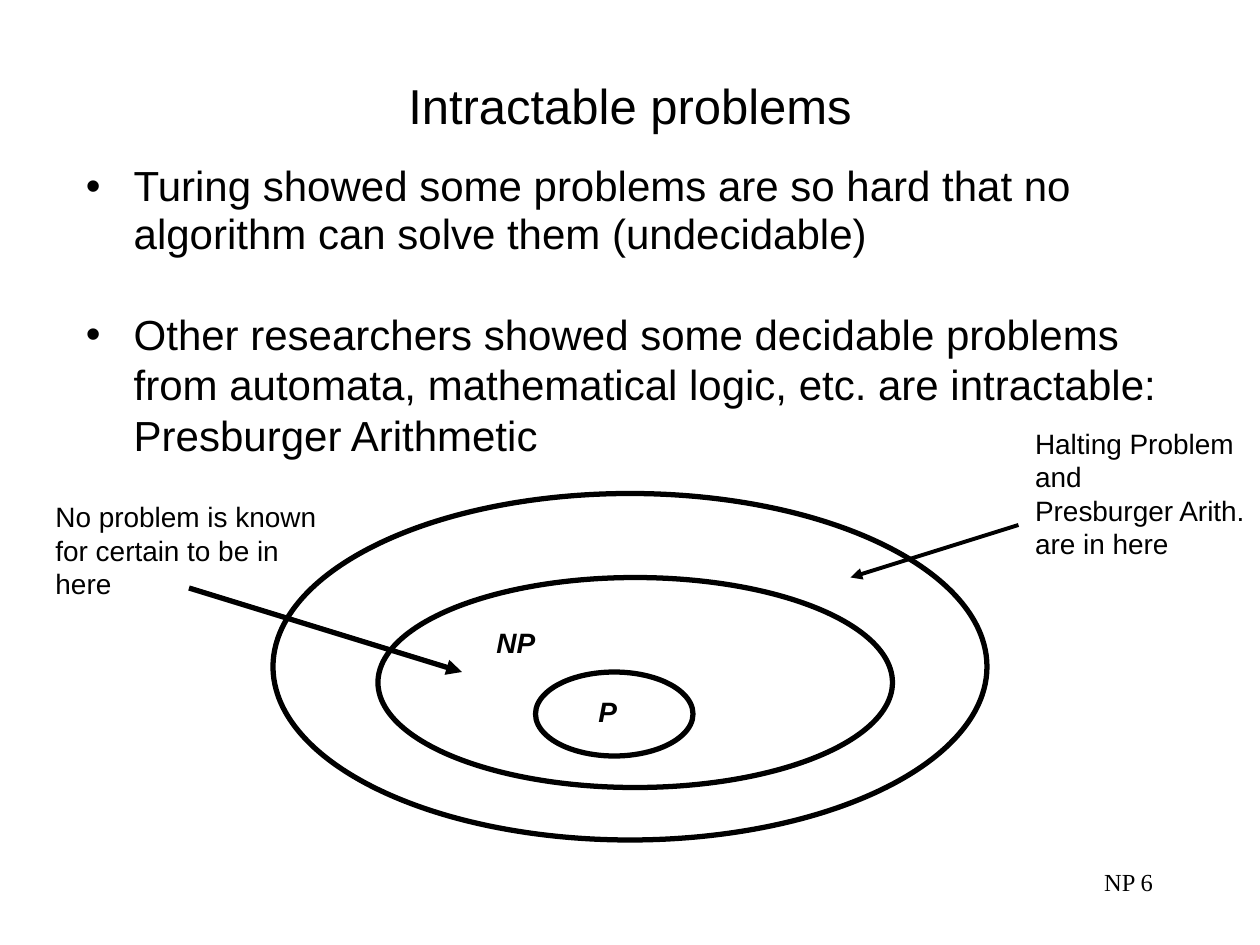
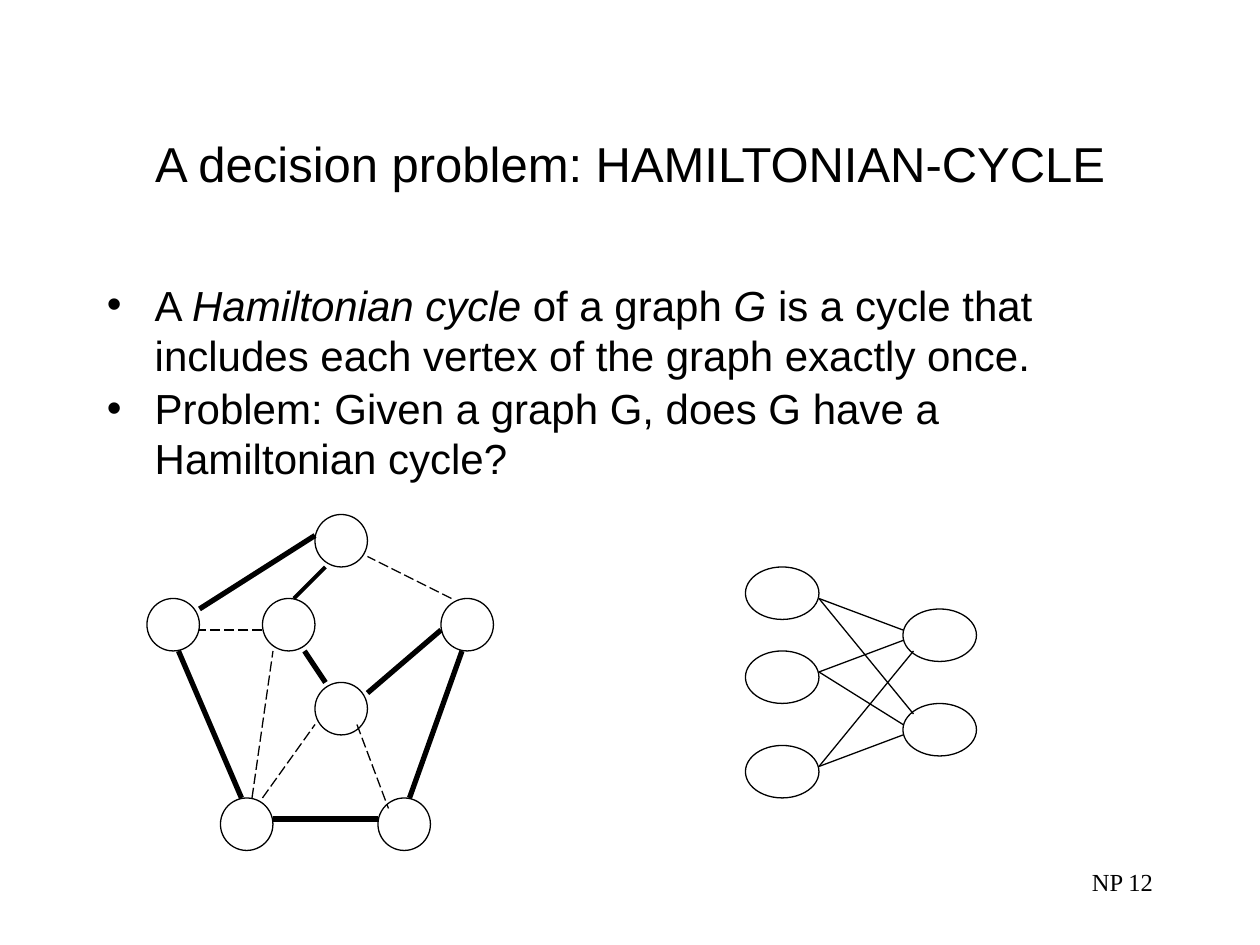
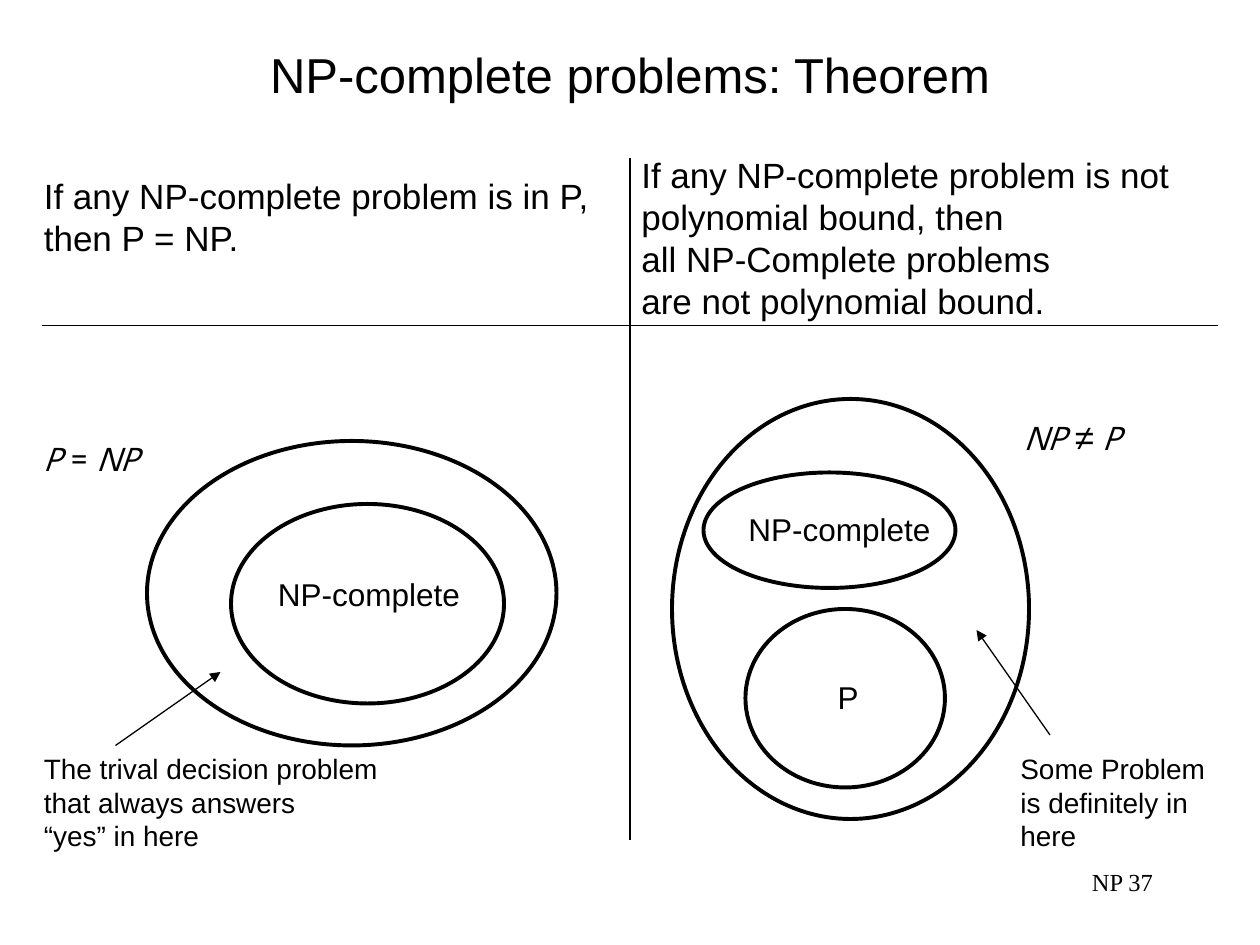
"""Build three slides on intractable, Hamiltonian-cycle and NP-complete problems."""
from lxml import etree
from pptx import Presentation
from pptx.dml.color import RGBColor
from pptx.enum.dml import MSO_LINE
from pptx.enum.shapes import MSO_CONNECTOR, MSO_SHAPE
from pptx.enum.text import MSO_ANCHOR, MSO_AUTO_SIZE, PP_ALIGN
from pptx.oxml.ns import qn
from pptx.util import Inches, Pt

LEFT, CENTER, RIGHT = PP_ALIGN.LEFT, PP_ALIGN.CENTER, PP_ALIGN.RIGHT
TOP, MIDDLE = MSO_ANCHOR.TOP, MSO_ANCHOR.MIDDLE
FIT, STRAIGHT, ELLIPSE = MSO_AUTO_SIZE.SHAPE_TO_FIT_TEXT, MSO_CONNECTOR.STRAIGHT, MSO_SHAPE.OVAL
LONG_DASH = MSO_LINE.LONG_DASH

THEME = {
    "ink": RGBColor(0, 0, 0),
    "paper": RGBColor(255, 255, 255),
    "font": "Arial", "footer_font": "Times New Roman", "math_font": "League Spartan",
    "title": 28, "body": 24, "statement": 20, "region": 18, "note": 16, "footer": 14,
    "thin": 0.75, "medium": 2.25, "thick": 3,
    "bullet_indent": 0.38, "line_height": 1.2, "inset": 0.05,
}
UNIT = Inches(1) // 12
FOOTER_BOX = (86, 82, 25, 6)
MATH = {"name": THEME["math_font"], "italic": True}
STRONG = {"bold": True, "italic": True}
SLANTED = {"italic": True}

SLIDES = [
    {
        "number": 6,
        "title": ("Intractable problems", (9, 5, 102, 10)),
        "body_box": (7, 15, 107, 32),
        "bullets": [
            ([("Turing showed some problems are so hard that no algorithm can solve them (undecidable)", {})],
             {"line_spacing": 0.95, "space_after": Pt(28)}),
            ([("Other researchers showed some decidable problems from automata, mathematical logic, etc. "
               "are intractable: Presburger Arithmetic", {})], {}),
        ],
        "diagrams": [{
            "weight": "thick",
            "ellipses": [(26, 47, 68, 33), (36, 55, 49, 20), (51, 64, 15, 8)],
            "lines": [((18, 56), (44, 64), "thick", "arrow"), ((97, 50), (81, 55), "medium", "arrow")],
        }],
        "labels": [
            ([("P", STRONG)], "note", (55.8, 65.6, 4.2), False),
            ([("NP", STRONG)], "note", (46.1, 59, 6.1), False),
            ([("No problem is known\nfor certain to be in\nhere", {})], "note", (4.1, 47, 27.2), False),
            ([("Halting Problem\nand\nPresburger Arith.\nare in here", {})], "note", (97.4, 40, 22.4), False),
        ],
    },
    {
        "number": 12,
        "title": ("A decision problem: HAMILTONIAN-CYCLE", (9, 8, 102, 15)),
        "body_box": (9, 26, 102, 54),
        "bullets": [
            ([("A ", {}), ("Hamiltonian cycle", SLANTED), (" of a graph ", {}), ("G", SLANTED),
              (" is a cycle that includes each vertex of the graph exactly once.", {})], {}),
            ([("Problem: Given a graph G, does G have a Hamiltonian cycle?", {})],
             {"space_before": Pt(1.5)}),
        ],
        "diagrams": [
            {
                "weight": "thin",
                "ellipses": [(x, y, 5, 5) for x, y in (
                    (14, 57), (21, 76), (36, 76), (42, 57), (30, 49), (30, 65), (25, 57))],
                "lines": [
                    ((30, 51), (19, 58), "thick", None),
                    ((17, 62), (23, 76), "thick", None),
                    ((26, 78), (36, 78), "thick", None),
                    ((39, 76), (44, 62), "thick", None),
                    ((42, 60), (35, 66), "thick", None),
                    ((29, 62), (31, 65), "thick", None),
                    ((28, 57), (31, 54), "medium", None),
                    ((43, 57), (35, 53), "thin", "dash"),
                    ((25, 60), (19, 60), "thin", "dash"),
                    ((34, 69), (37, 77), "thin", "dash"),
                    ((24, 76), (26, 62), "thin", "dash"),
                    ((25, 76), (30, 69), "thin", "dash"),
                ],
            },
            {
                "weight": "thin",
                "grouped": True,
                "ellipses": [(x, y, 7, 5) for x, y in ((71, 54), (71, 62), (71, 71), (86, 58), (86, 67))],
                "lines": [((78, start), end, "thin", None) for start, ends in (
                    (57, ((86, 60), (87, 68))),
                    (64, ((86, 61), (86, 69))),
                    (73, ((87, 62), (86, 70)))) for end in ends],
            },
        ],
        "labels": [],
    },
    {
        "number": 37,
        "title": ("NP-complete problems: Theorem", (9, 3, 102, 8)),
        "bullets": [],
        "diagrams": [{
            "weight": "medium",
            "ellipses": [(14, 42, 39, 29), (22, 48, 26, 19), (64, 38, 34, 40),
                         (67, 45, 24, 11), (71, 58, 19, 17)],
            "lines": [
                ((11, 71), (21, 64), "thin", "arrow"),
                ((100, 70), (93, 60), "thin", "arrow"),
                ((60, 15), (60, 80), "thin", None),
                ((4, 31), (116, 31), "thin", None),
            ],
        }],
        "labels": [
            ([("P ", MATH), ("= ", {"name": THEME["math_font"]}), ("NP", MATH)],
             "statement", (3, 41, 16.7), True),
            ([("NP-complete", {})], "region", (25.3, 54.2, 19.7), False),
            ([("The trival decision problem\nthat always answers\n“yes” in here", {})],
             "note", (3, 71, 34.9), False),
            ([("NP-complete", {})], "region", (70.1, 48, 19.7), False),
            ([("P", {})], "region", (78.6, 64, 4.3), False),
            ([("Some Problem\nis definitely in\nhere", {})], "note", (96, 71, 20), True),
            ([("NP ", MATH), ("≠", SLANTED), (" P", MATH)], "statement", (96.4, 39, 16.7), True),
            ([("If any NP-complete problem is in P, then P = NP.", {})], "statement", (3, 16, 55), True),
            ([("If any NP-complete problem is not\npolynomial bound, then\n"
               "all NP-Complete problems\nare not polynomial bound.", {})],
             "statement", (59.9, 14, 53.6), False),
        ],
    },
]


def set_all(target, values):
    for key, value in values.items():
        setattr(target, key, value)


def to_emu(box):
    return [int(length * UNIT) for length in box]


def add_text_frame(slide, box, **frame_format):
    frame = slide.shapes.add_textbox(*to_emu(box)).text_frame
    set_all(frame, {"word_wrap": True, "vertical_anchor": TOP, **frame_format})
    return frame


def write_runs(paragraph, runs, size, font=THEME["font"]):
    for text, style in runs:
        for row, words in enumerate(text.split("\n")):
            if row:
                paragraph.add_line_break()
            run = paragraph.add_run()
            run.text = words
            set_all(run.font, {"name": font, "size": Pt(THEME[size]), **style})
            run.font.color.rgb = THEME["ink"]


def add_line_of_text(slide, text, box, size, align, anchor=TOP, font=THEME["font"]):
    paragraph = add_text_frame(slide, box, vertical_anchor=anchor).paragraphs[0]
    paragraph.alignment = align
    write_runs(paragraph, [(text, {})], size, font)


def add_bullets(slide, bullets, box):
    frame = add_text_frame(slide, box)
    indent = Inches(THEME["bullet_indent"])
    for index, (runs, spacing) in enumerate(bullets):
        paragraph = frame.add_paragraph() if index else frame.paragraphs[0]
        set_all(paragraph, {"alignment": LEFT, **spacing})
        properties = paragraph._p.get_or_add_pPr()
        properties.set("marL", str(indent))
        properties.set("indent", str(-indent))
        etree.SubElement(properties, qn("a:buFont"), typeface=THEME["font"])
        etree.SubElement(properties, qn("a:buChar"), char="•")
        write_runs(paragraph, runs, "body")


def add_label(slide, runs, size, place, wraps):
    rows = 1 + sum(text.count("\n") for text, _ in runs)
    height = 12 * (rows * THEME[size] * THEME["line_height"] / 72 + 2 * THEME["inset"])
    frame = add_text_frame(slide, (*place, height), word_wrap=wraps, auto_size=FIT)
    write_runs(frame.paragraphs[0], runs, size)


def ink_line(line, weight):
    line.color.rgb = THEME["ink"]
    line.width = Pt(THEME[weight])


def add_diagram(slide, diagram):
    shapes = slide.shapes.add_group_shape().shapes if diagram.get("grouped") else slide.shapes
    for box in diagram["ellipses"]:
        region = shapes.add_shape(ELLIPSE, *to_emu(box))
        region.shadow.inherit = False
        region.fill.background()
        ink_line(region.line, diagram["weight"])
    for start, end, weight, finish in diagram["lines"]:
        edge = shapes.add_connector(STRAIGHT, *to_emu(start + end))
        ink_line(edge.line, weight)
        if finish == "dash":
            edge.line.dash_style = LONG_DASH
        if finish == "arrow":
            etree.SubElement(edge.line._get_or_add_ln(), qn("a:tailEnd"), type="triangle")
        etree.SubElement(edge._element.spPr, qn("a:effectLst"))


def main():
    deck = Presentation()
    deck.slide_width, deck.slide_height = 120 * UNIT, 90 * UNIT
    blank = deck.slide_layouts[6]
    for content in SLIDES:
        slide = deck.slides.add_slide(blank)
        slide.background.fill.solid()
        slide.background.fill.fore_color.rgb = THEME["paper"]
        add_line_of_text(slide, f"NP {content['number']}", FOOTER_BOX, "footer", RIGHT,
                         font=THEME["footer_font"])
        add_line_of_text(slide, *content["title"], "title", CENTER, MIDDLE)
        if content["bullets"]:
            add_bullets(slide, content["bullets"], content["body_box"])
        for diagram in content["diagrams"]:
            add_diagram(slide, diagram)
        for label in content["labels"]:
            add_label(slide, *label)
    deck.save("out.pptx")


if __name__ == "__main__":
    main()
